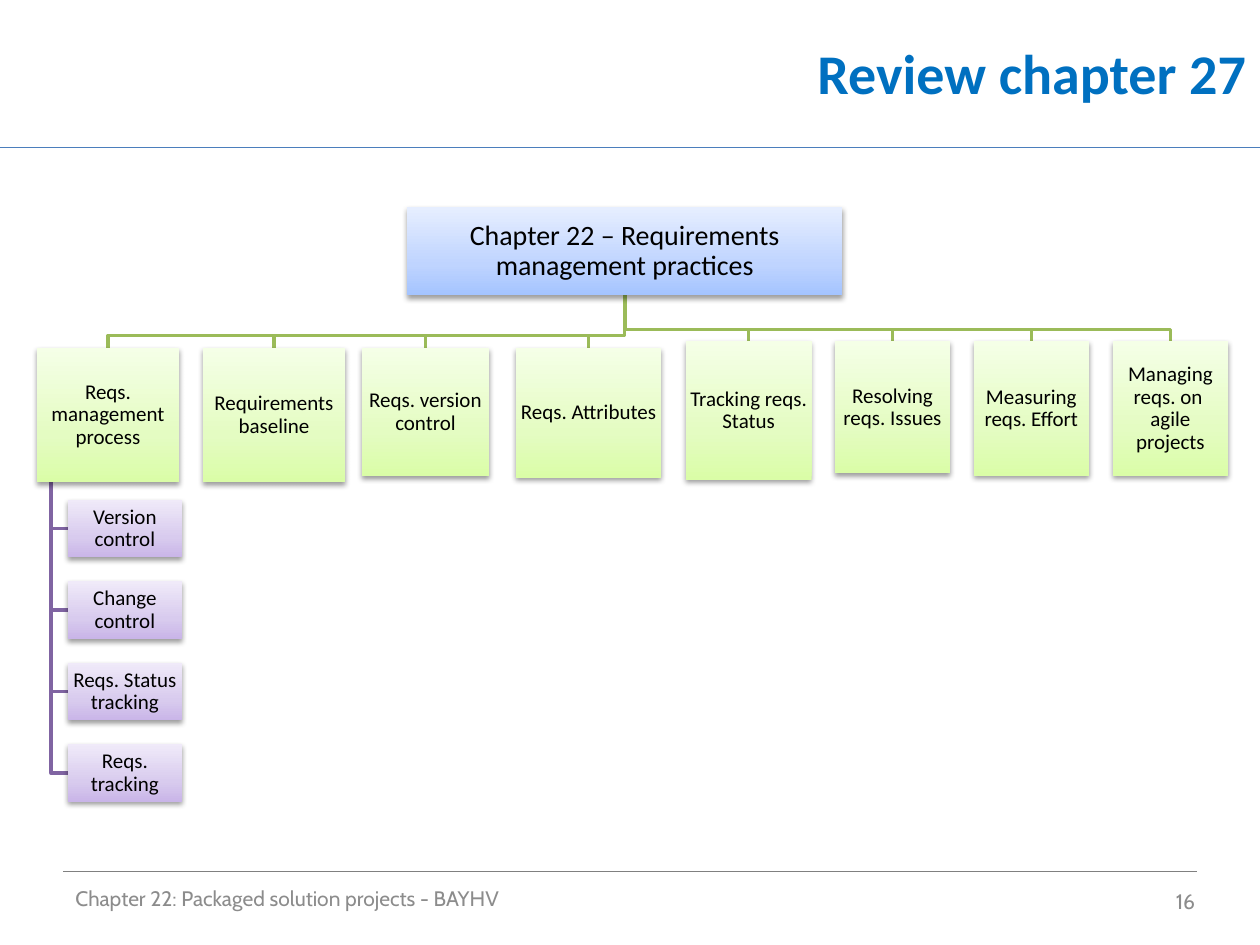
from lxml import etree
from pptx import Presentation
from pptx.dml.color import RGBColor
from pptx.enum import shapes, text
from pptx.oxml import parse_xml
from pptx.oxml.ns import nsdecls, qn
from pptx.util import Pt

TITLE_BLUE = RGBColor(0x00, 0x70, 0xC0)
RULE_BLUE = RGBColor(0x4B, 0x7E, 0xBC)
RULE_GRAY = RGBColor(0x80, 0x80, 0x80)
FOOTER_GRAY = RGBColor(0x8C, 0x8C, 0x8C)
BLACK = RGBColor(0x00, 0x00, 0x00)
GREEN = RGBColor(0x9B, 0xBB, 0x59)
PURPLE = RGBColor(0x80, 0x64, 0xA2)
BLUE_SHADES = [RGBColor(0xA4, 0xC4, 0xFF), RGBColor(0xBF, 0xD4, 0xFF), RGBColor(0xE6, 0xEE, 0xFF)]
GREEN_SHADES = [RGBColor(0xDA, 0xFD, 0xA7), RGBColor(0xE4, 0xFC, 0xC2), RGBColor(0xF5, 0xFF, 0xE7)]
PURPLE_SHADES = [RGBColor(0xC9, 0xB5, 0xE8), RGBColor(0xD8, 0xCB, 0xEE), RGBColor(0xF0, 0xEA, 0xF9)]

ROOT = "Chapter 22 – Requirements management practices"
BRANCHES = [
    ("Reqs. management process", 21.1, 198.7, 81.3, 76.8),
    ("Requirements baseline", 116, 198.7, 81.3, 76.8),
    ("Reqs. version control", 206.8, 198.7, 72.7, 73.5),
    ("Reqs. Attributes", 294.7, 198.7, 83.3, 74.2),
    ("Tracking reqs. Status", 391.9, 195.1, 71.9, 79),
    ("Resolving reqs. Issues", 477.2, 195.1, 65.7, 75.5),
    ("Measuring reqs. Effort", 556.5, 195.1, 65.7, 76.8),
    ("Managing reqs. on \vagile projects", 636, 195.1, 65.7, 76.8),
]
LEAVES = ["Version control", "Change control", "Reqs. Status tracking", "Reqs. tracking"]


def style_text(frame, words, size, font, color, align, bold=False):
    """Fill a text frame with one styled, vertically centred paragraph."""
    frame.word_wrap = True
    frame.vertical_anchor = text.MSO_ANCHOR.MIDDLE
    paragraph = frame.paragraphs[0]
    paragraph.text = words
    paragraph.alignment = align
    for run in paragraph.runs:
        run.font.size, run.font.name, run.font.bold = Pt(size), font, bold
        run.font.color.rgb = color
    return paragraph


def add_label(slide, words, left, top, width, height, **style):
    """Place a text box in the given box."""
    label = slide.shapes.add_textbox(Pt(left), Pt(top), Pt(width), Pt(height))
    style_text(label.text_frame, words, **style)


def add_rule(slide, left, right, y, color):
    """Draw a thin horizontal line."""
    rule = slide.shapes.add_connector(shapes.MSO_CONNECTOR.STRAIGHT, Pt(left), Pt(y), Pt(right), Pt(y))
    rule.line.color.rgb = color
    rule.line.width = Pt(0.75)
    etree.SubElement(rule._element.spPr, qn("a:effectLst"))


def add_link(slide, points, color):
    """Draw an open bent line through the points."""
    start, *rest = [(Pt(x), Pt(y)) for x, y in points]
    builder = slide.shapes.build_freeform(*start)
    builder.add_line_segments(rest, close=False)
    link = builder.convert_to_shape()
    link.shadow.inherit = False
    link.fill.background()
    link.line.color.rgb = color
    link.line.width = Pt(2)


def add_node(slide, words, left, top, width, height, shades, size=12):
    """Draw a gradient box with a soft shadow and centred text."""
    node = slide.shapes.add_shape(shapes.MSO_SHAPE.RECTANGLE, Pt(left), Pt(top), Pt(width), Pt(height))
    node.shadow.inherit = False
    node.line.fill.background()
    properties = node._element.spPr
    stops = "".join(
        f'<a:gs pos="{position}"><a:srgbClr val="{shade}"/></a:gs>'
        for position, shade in zip((0, 35000, 100000), shades)
    )
    gradient = parse_xml(
        f'<a:gradFill {nsdecls("a")} rotWithShape="1"><a:gsLst>{stops}</a:gsLst>'
        '<a:lin ang="16200000" scaled="0"/></a:gradFill>'
    )
    properties.find(qn("a:prstGeom")).addnext(gradient)
    properties.find(qn("a:effectLst")).append(parse_xml(
        f'<a:outerShdw {nsdecls("a")} blurRad="{Pt(3.1)}" dist="{Pt(1.6)}" dir="5400000" rotWithShape="0">'
        '<a:srgbClr val="000000"><a:alpha val="38000"/></a:srgbClr></a:outerShdw>'
    ))
    frame = node.text_frame
    frame.margin_left = frame.margin_right = frame.margin_top = frame.margin_bottom = Pt(0.7)
    paragraph = style_text(frame, words, size, "Calibri", BLACK, text.PP_ALIGN.CENTER)
    paragraph.line_spacing = 0.9


def add_header(slide, left, top, width, height):
    """Place the right-aligned title and the line under it."""
    add_label(slide, "Review chapter 27", left + 208.8, top, width - 209.5, height - 1.4, size=32,
              font="Calibri", color=TITLE_BLUE, align=text.PP_ALIGN.RIGHT, bold=True)
    add_rule(slide, left, left + width, top + height, RULE_BLUE)


def add_footer(slide, left, top, width):
    """Place the footer line, the chapter name and the page number."""
    style = dict(size=12, font="Cabin", color=FOOTER_GRAY)
    add_rule(slide, left, left + width, top, RULE_GRAY)
    add_label(slide, "Chapter 22: Packaged solution projects - BAYHV", left, top + 0.8, 480, 28.8,
              align=text.PP_ALIGN.LEFT, **style)
    add_label(slide, "16", left + width - 162, top + 2.2, 168, 28.8, align=text.PP_ALIGN.RIGHT, **style)


def add_leaves(slide, left, top, width, height):
    """Hang the practices below the branch that fills the given box."""
    trunk, base = left + width / 10, top + height
    leaf_left, leaf_height, pitch = left + 17.5, 33, 46.55
    tops = [base + 10.1 + index * pitch for index in range(len(LEAVES))]
    for leaf_top in tops:
        middle = leaf_top + leaf_height / 2
        add_link(slide, [(trunk, base), (trunk, middle), (leaf_left, middle)], PURPLE)
    for words, leaf_top in zip(LEAVES, tops):
        add_node(slide, words, leaf_left, leaf_top, 65.6, leaf_height, PURPLE_SHADES)


def add_tree(slide, left, top, width, height):
    """Draw the chapter in the given box with its branches and leaves."""
    trunk, base = left + width / 2, top + height
    for _, x, y, branch_width, _ in BRANCHES:
        middle, bus = x + branch_width / 2, y - 6.9
        add_link(slide, [(trunk, base), (trunk, bus), (middle, bus), (middle, y)], GREEN)
    add_leaves(slide, *BRANCHES[0][1:])
    add_node(slide, ROOT, left, top, width, height, BLUE_SHADES, size=16)
    for branch in BRANCHES:
        add_node(slide, *branch, GREEN_SHADES)


def main():
    """Build and save the slide."""
    deck = Presentation()
    deck.slide_width, deck.slide_height = Pt(720), Pt(540)
    slide = deck.slides.add_slide(deck.slide_layouts[6])
    add_header(slide, 0, 0, 720, 84.2)
    add_footer(slide, 36, 498.2, 648)
    add_tree(slide, 232.6, 118.5, 248.8, 50.2)
    deck.save("out.pptx")


if __name__ == "__main__":
    main()
